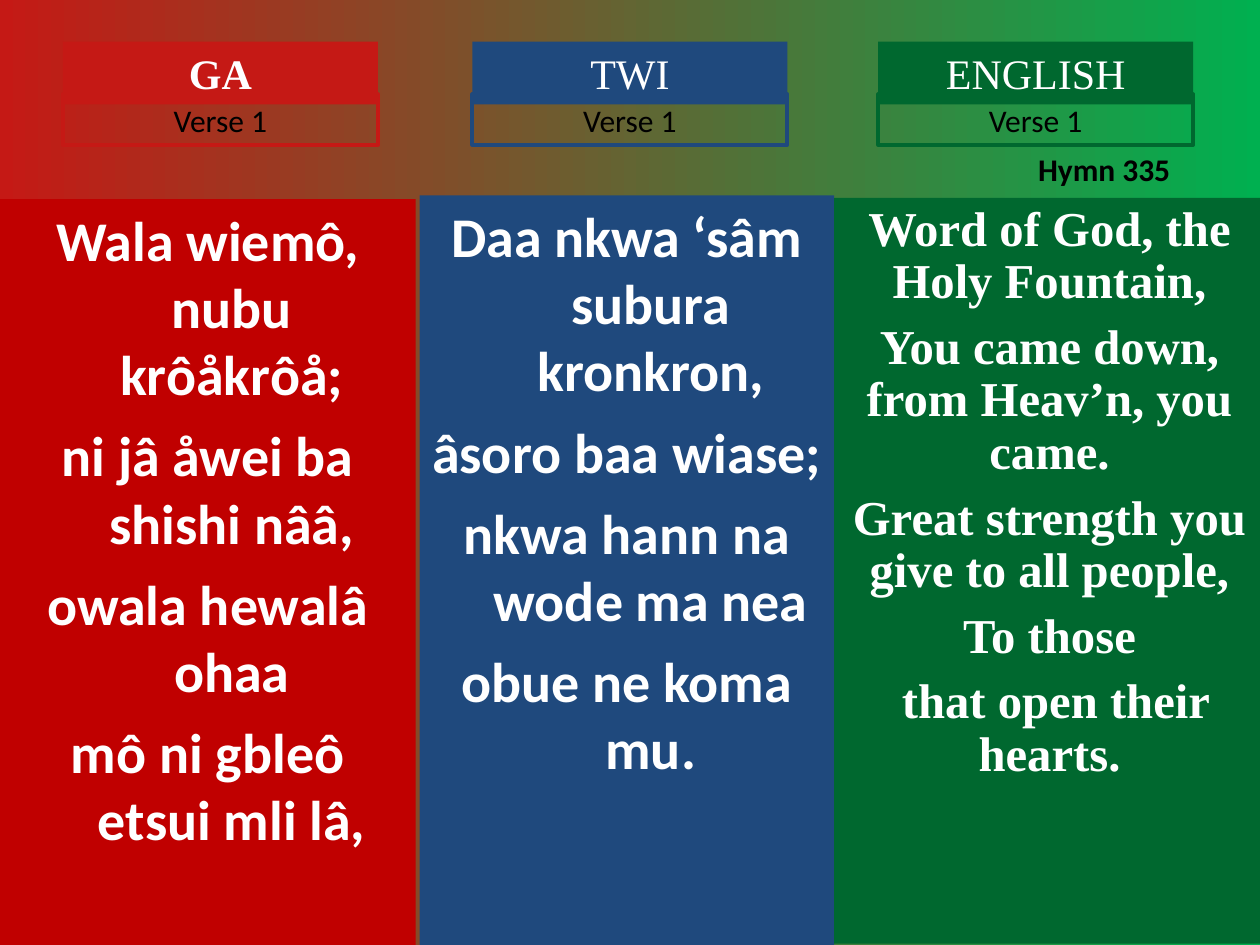
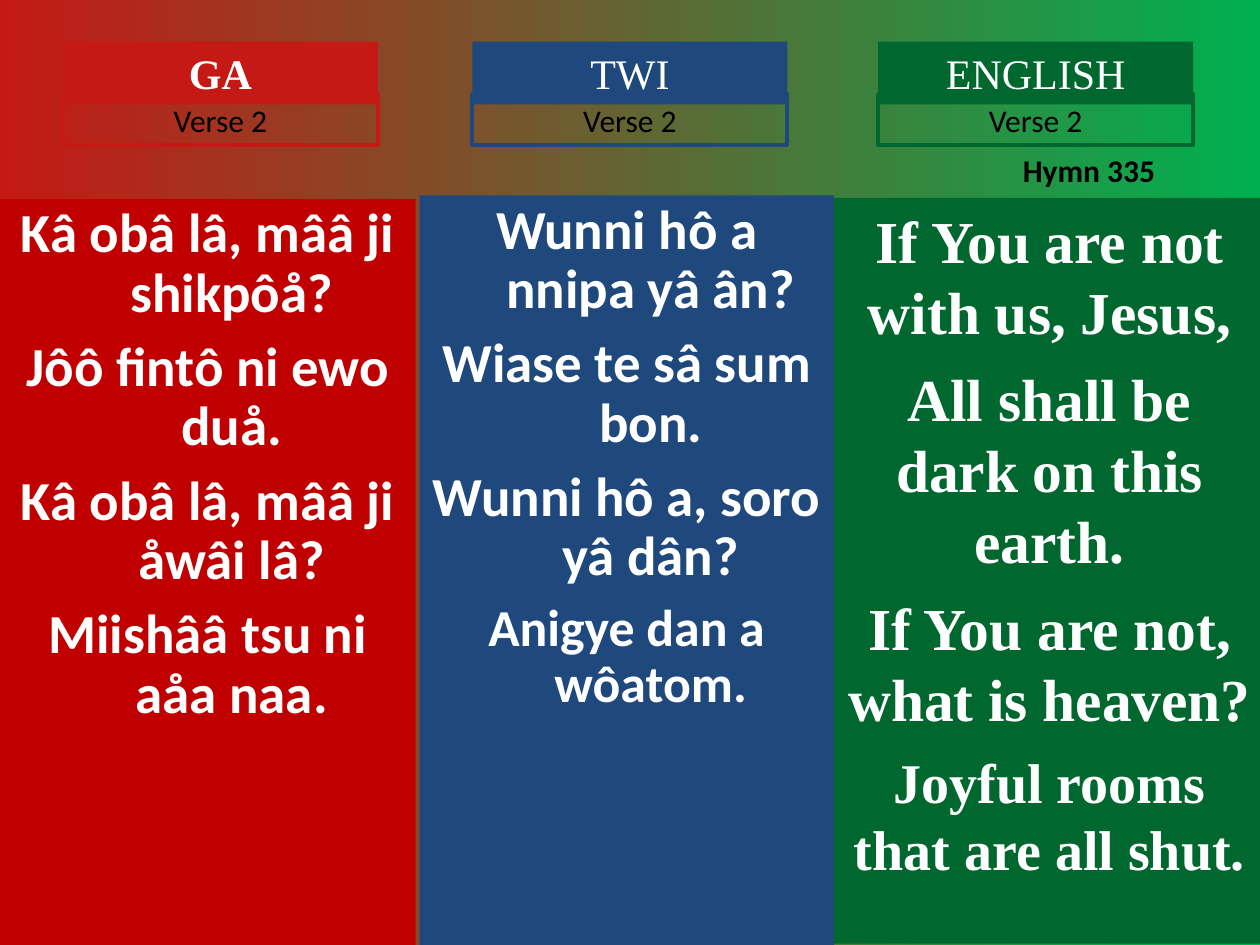
import pptx
import pptx.util
import pptx.dml.color
import pptx.enum.shapes
import pptx.enum.text

Inches, Pt = pptx.util.Inches, pptx.util.Pt

HYMN = "Hymn 335"
BACKGROUND = ("C51915", "00B050")
WHITE, BLACK = "FFFFFF", "000000"
SANS, SERIF = "Calibri", "Times New Roman"
HANGING = 0.38

LANGUAGES = [
    {"name": "GA", "bold": True, "accent": "C51915", "panel": "C00000",
     "font": SANS, "hanging": HANGING, "label_left": 0.5, "panel_at": (0, 1.58, 3.3, 5.92)},
    {"name": "TWI", "bold": False, "accent": "1F497D", "panel": "1F497D",
     "font": SANS, "hanging": HANGING, "label_left": 3.75, "panel_at": (3.33, 1.55, 3.29, 5.95)},
    {"name": "ENGLISH", "bold": False, "accent": "00682F", "panel": "00682F",
     "font": SERIF, "hanging": 0, "label_left": 6.97, "panel_at": (6.62, 1.57, 3.42, 5.92)},
]

VERSES = [
    {"title": "Verse 1", "hymn_at": (8.14, 1.14, 1.5, 0.4), "lyrics": [
        {"size": 32, "before": 8, "spacing": 1, "lines": [
            "Wala wiemô, nubu krôåkrôå;",
            "ni jâ åwei ba shishi nââ,",
            "owala hewalâ ohaa",
            "mô ni gbleô etsui mli lâ,"]},
        {"size": 32, "before": 8, "spacing": 1, "lines": [
            "Daa nkwa ‘sâm subura kronkron,",
            "âsoro baa wiase;",
            "nkwa hann na wode ma nea",
            "obue ne koma mu."]},
        {"size": 27.8, "before": 7.5, "spacing": 0.9, "lines": [
            "Word of God, the Holy Fountain,",
            "You came down, from Heav’n, you came.",
            "Great strength you give to all people,",
            "To those",
            " that open their hearts."]},
    ]},
    {"title": "Verse 2", "hymn_at": (8.02, 1.15, 1.5, 0.4), "lyrics": [
        {"size": 31.4, "before": 8.5, "spacing": 0.9, "lines": [
            "Kâ obâ lâ, mââ ji shikpôå?",
            "Jôô fintô ni ewo duå.",
            "Kâ obâ lâ, mââ ji åwâi lâ?",
            "Miishââ tsu ni aåa naa."]},
        {"size": 31.4, "before": 8.5, "spacing": 0.9, "last": (29.6, 8), "lines": [
            "Wunni hô a nnipa yâ ân?",
            "Wiase te sâ sum bon.",
            "Wunni hô a, soro yâ dân?",
            "Anigye dan a wôatom."]},
        {"size": 34, "before": 8.5, "spacing": 1, "last": (32, 8), "lines": [
            "If You are not with us, Jesus,",
            "All shall be dark on this earth.",
            "If You are not, what is heaven?",
            "Joyful rooms that are all shut."]},
    ]},
]


def color(hex_string):
    return pptx.dml.color.RGBColor.from_string(hex_string)


def paint_background(slide):
    fill = slide.background.fill
    fill.gradient()
    fill.gradient_angle = 0
    for position, (stop, shade) in enumerate(zip(fill.gradient_stops, BACKGROUND)):
        stop.position = position
        stop.color.rgb = color(shade)


def add_box(slide, at, fill=None, line=None):
    box = slide.shapes.add_shape(pptx.enum.shapes.MSO_SHAPE.RECTANGLE, *map(Inches, at))
    box.shadow.inherit = False
    if fill:
        box.fill.solid()
        box.fill.fore_color.rgb = color(fill)
    else:
        box.fill.background()
    if line:
        box.line.color.rgb = color(line)
        box.line.width = Pt(2.25)
    else:
        box.line.fill.background()
    return box


def write(box, lines, size, font, shade, bold=False, centered=True):
    frame = box.text_frame
    frame.word_wrap = True
    frame.vertical_anchor = pptx.enum.text.MSO_ANCHOR.TOP
    frame.text = "\n".join(lines)
    align = pptx.enum.text.PP_ALIGN
    for paragraph in frame.paragraphs:
        paragraph.alignment = align.CENTER if centered else align.LEFT
        for run in paragraph.runs:
            run.font.size = Pt(size)
            run.font.name = font
            run.font.bold = bold
            run.font.color.rgb = color(shade)
    return frame.paragraphs


def add_lyrics(slide, language, lyrics):
    panel = add_box(slide, language["panel_at"], fill=language["panel"])
    paragraphs = write(panel, lyrics["lines"], lyrics["size"], language["font"], WHITE, bold=True)
    for paragraph in paragraphs:
        paragraph.line_spacing = lyrics["spacing"]
        if language["hanging"]:
            properties = paragraph._p.get_or_add_pPr()
            properties.set("marL", str(Inches(language["hanging"])))
            properties.set("indent", str(-Inches(language["hanging"])))
    for paragraph in paragraphs[1:]:
        paragraph.space_before = Pt(lyrics["before"])
    if "last" in lyrics:
        size, before = lyrics["last"]
        paragraphs[-1].space_before = Pt(before)
        paragraphs[-1].runs[0].font.size = Pt(size)


def add_labels(slide, language, verse_title):
    left = language["label_left"]
    heading = add_box(slide, (left, 0.33, 2.5, 0.5), fill=language["accent"])
    write(heading, [language["name"]], 24, SERIF, WHITE, language["bold"])
    verse_label = add_box(slide, (left, 0.75, 2.5, 0.4), line=language["accent"])
    write(verse_label, [verse_title], 18, SANS, BLACK)


def add_verse(prs, verse):
    slide = prs.slides.add_slide(prs.slide_layouts[6])
    paint_background(slide)
    for language, lyrics in zip(LANGUAGES, verse["lyrics"]):
        add_lyrics(slide, language, lyrics)
        add_labels(slide, language, verse["title"])
    hymn = slide.shapes.add_textbox(*map(Inches, verse["hymn_at"]))
    write(hymn, [HYMN], 18, SANS, BLACK, bold=True, centered=False)


def main():
    prs = pptx.Presentation()
    prs.slide_width, prs.slide_height = Inches(10), Inches(7.5)
    for verse in VERSES:
        add_verse(prs, verse)
    prs.save("out.pptx")


if __name__ == "__main__":
    main()
